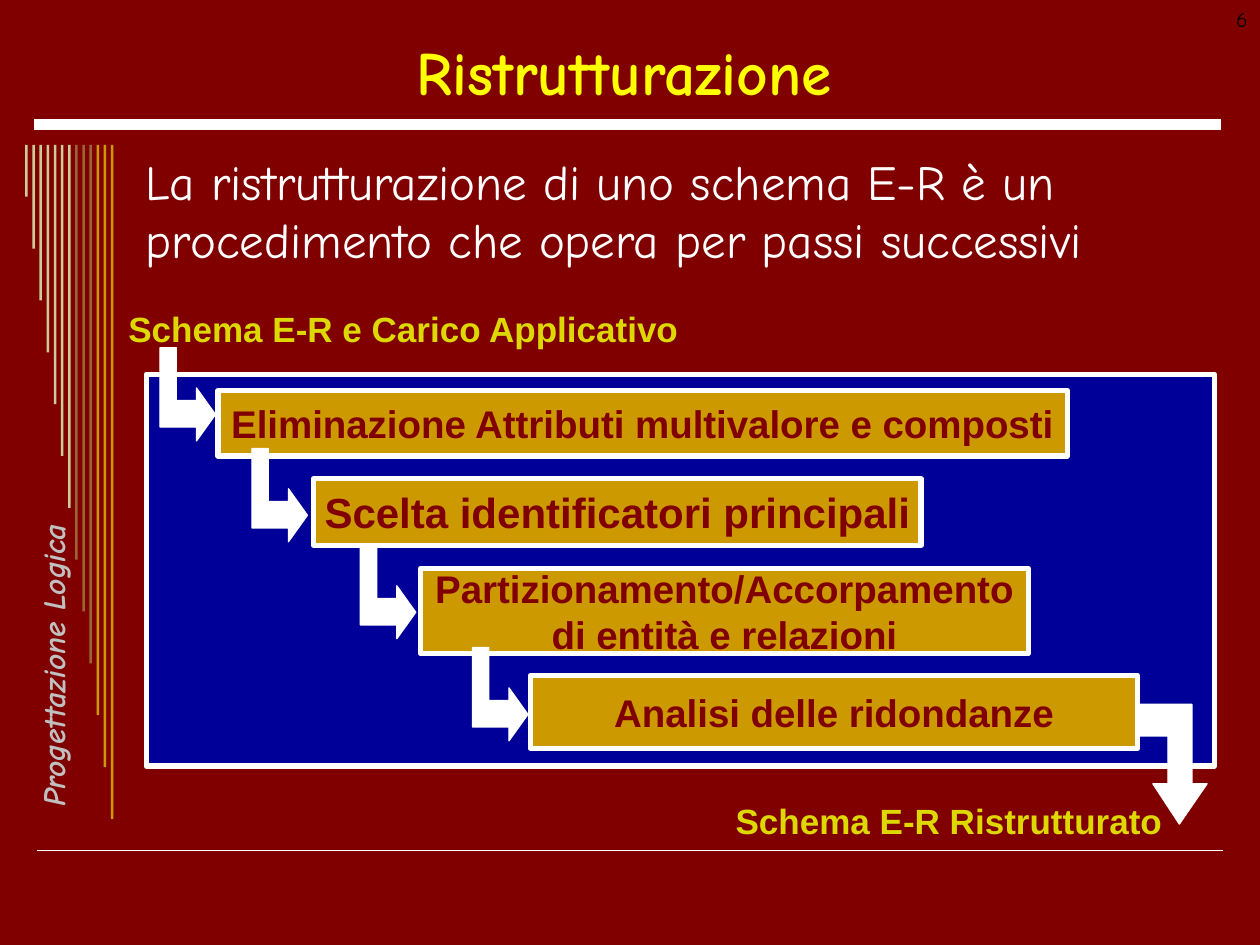
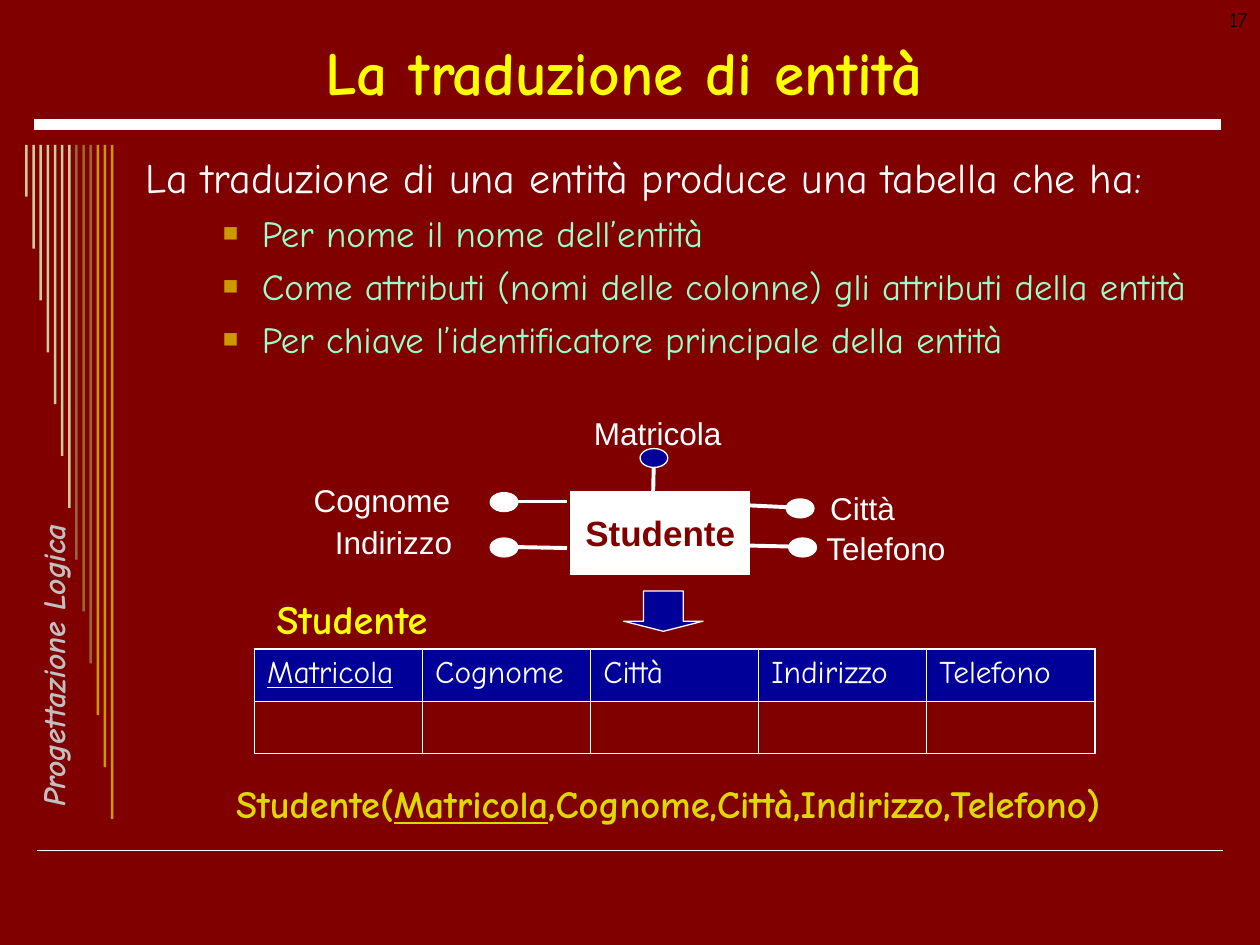
from dataclasses import dataclass

from lxml import etree
from pptx import Presentation
from pptx.dml.color import RGBColor
from pptx.enum.shapes import MSO_CONNECTOR, MSO_SHAPE
from pptx.enum.text import MSO_ANCHOR, MSO_AUTO_SIZE, PP_ALIGN
from pptx.oxml.ns import qn
from pptx.util import Inches, Pt

RECT, OVAL, DOWN = MSO_SHAPE.RECTANGLE, MSO_SHAPE.OVAL, MSO_SHAPE.DOWN_ARROW
STRAIGHT = MSO_CONNECTOR.STRAIGHT
LEFT, MID, RIGHT = PP_ALIGN.LEFT, PP_ALIGN.CENTER, PP_ALIGN.RIGHT
TOP, CENTRE = MSO_ANCHOR.TOP, MSO_ANCHOR.MIDDLE
FIXED = MSO_AUTO_SIZE.NONE
TITLE_ONLY = 5


@dataclass(frozen=True)
class Type:
    size: float
    color: str
    font: str = "Comic Neue"
    bold: bool = False
    italic: bool = False


@dataclass(frozen=True)
class Theme:
    back: str = "800000"
    white: str = "FFFFFF"
    blue: str = "000099"
    gold: str = "CC9900"
    brown: str = "996633"
    sand: str = "CCCC99"
    title: Type = Type(35, "FFFF00", bold=True)
    side: Type = Type(18, "C0C0C0", bold=True, italic=True)
    number: Type = Type(12, "000000")
    lead: Type = Type(28, "FFFFFF")
    intro: Type = Type(24, "FFFFFF")
    item: Type = Type(21, "99FFCC")
    step: Type = Type(22, "800000", "Arial", True)
    key: Type = Type(24, "800000", "Arial", True)
    ends: Type = Type(20, "DDD800", "Arial", True)
    entity: Type = Type(20, "800000", "Arial", True)
    label: Type = Type(18, "FFFFFF", "Arial")
    cell: Type = Type(18, "FFFFFF")
    name: Type = Type(23, "FFFF00", bold=True)
    schema: Type = Type(22, "DDD800", bold=True)


THEME = Theme()
STEPS = [
    ("Eliminazione Attributi multivalore e composti",
     (1.73, 3.1, 6.74, 0.52), THEME.step),
    ("Scelta identificatori principali", (2.49, 3.8, 4.82, 0.53), THEME.key),
    ("Partizionamento/Accorpamento\vdi entità e relazioni",
     (3.34, 4.51, 4.82, 0.68), THEME.step),
    ("Analisi delle ridondanze", (4.21, 5.36, 4.82, 0.58), THEME.step),
]
BENDS = [(1.27, 2.76), (2, 3.56), (2.86, 4.33), (3.75, 5.14)]
BEND = [(0.13, 0), (0.13, 0.42), (0.29, 0.42), (0.29, 0.32), (0.44, 0.53),
        (0.29, 0.74), (0.29, 0.63), (0, 0.63), (0, 0)]
EXIT = [(0, 0.25), (0.44, 0.25), (0.44, 0.63), (0.32, 0.63), (0.53, 0.95),
        (0.75, 0.63), (0.63, 0.63), (0.63, 0), (0, 0)]
ITEMS = [
    "Per nome il nome dell’entità",
    "Come attributi (nomi delle colonne) gli attributi della entità",
    "Per chiave l’identificatore principale della entità",
]
# Name, label corner, label alignment, dot centre, line end, dot colour
FIELDS = [
    ("Matricola", (4.56, 3.24), MID, (5.19, 3.63), (5.18, 4.09), THEME.blue),
    ("Cognome", (2.39, 3.77), LEFT, (4, 3.98), (4.5, 3.98), THEME.white),
    ("Città", (6.49, 3.83), LEFT, (6.35, 4.03), (5.92, 4.01), THEME.white),
    ("Indirizzo", (2.56, 4.1), LEFT, (4, 4.34), (4.5, 4.35), THEME.white),
    ("Telefono", (6.46, 4.15), LEFT, (6.37, 4.34), (5.94, 4.33), THEME.white),
]


def rgb(color):
    return RGBColor.from_string(color)


def inches(values):
    return [Inches(v) for v in values]


def style(par, kind, align=LEFT):
    par.alignment = align
    font = par.font
    font.name, font.size = kind.font, Pt(kind.size)
    font.bold, font.italic = kind.bold, kind.italic
    font.color.rgb = rgb(kind.color)


def write(frame, text, kind, align=LEFT, anchor=TOP, wrap=True):
    frame.word_wrap = wrap
    frame.auto_size = FIXED
    frame.vertical_anchor = anchor
    par = frame.paragraphs[0]
    par.text = text
    style(par, kind, align)
    return par


def add_text(slide, box, text, kind, align=LEFT, wrap=True):
    shape = slide.shapes.add_textbox(*inches(box))
    write(shape.text_frame, text, kind, align, wrap=wrap)
    return shape


def paint(shape, fill, line=None, width=0.75):
    shape.shadow.inherit = False
    shape.fill.solid()
    shape.fill.fore_color.rgb = rgb(fill)
    if line:
        shape.line.color.rgb = rgb(line)
        shape.line.width = Pt(width)
    else:
        shape.line.fill.background()


def add_shape(slide, preset, box, fill, line=None, width=0.75):
    shape = slide.shapes.add_shape(preset, *inches(box))
    paint(shape, fill, line, width)
    return shape


def add_box(slide, box, text, kind, fill, width):
    shape = add_shape(slide, RECT, box, fill, THEME.white, width)
    write(shape.text_frame, text, kind, MID, CENTRE, wrap=False)


def add_line(slide, start, end, width):
    line = slide.shapes.add_connector(STRAIGHT, *inches(start + end))
    line.line.color.rgb = rgb(THEME.white)
    line.line.width = Pt(width)
    etree.SubElement(line._element.spPr, qn("a:effectLst"))


def add_bend(slide, origin, outline):
    """Draw a white bent arrow; the outline is relative to the origin."""
    x, y = origin
    points = [inches((x + dx, y + dy)) for dx, dy in outline]
    pen = slide.shapes.build_freeform(*points[0])
    pen.add_line_segments(points[1:], close=True)
    paint(pen.convert_to_shape(), THEME.white, THEME.white)


def add_bullet(frame, text):
    par = frame.add_paragraph()
    par.text = text
    par.level = 1
    par.space_before = Pt(5.2)
    props = par._p.get_or_add_pPr()
    props.set("marL", str(Inches(0.92)))
    props.set("indent", str(Inches(-0.31)))
    color = etree.SubElement(props, qn("a:buClr"))
    etree.SubElement(color, qn("a:srgbClr"), val=THEME.gold)
    etree.SubElement(props, qn("a:buSzPct"), val="70000")
    etree.SubElement(props, qn("a:buFont"), typeface="Arial")
    etree.SubElement(props, qn("a:buChar"), char="■")
    style(par, THEME.item)


def edge(cell, side, width):
    props = cell._tc.get_or_add_tcPr()
    line = etree.SubElement(props, qn(f"a:ln{side}"), w=str(Pt(width)))
    fill = etree.SubElement(line, qn("a:solidFill"))
    etree.SubElement(fill, qn("a:srgbClr"), val=THEME.white)


def add_table(slide, names):
    """Draw a header row and an empty row, with a thicker outer border."""
    last = len(names) - 1
    box = inches((2.02, 5.15, 6.67, 0.83))
    table = slide.shapes.add_table(2, len(names), *box).table
    table.first_row = table.horz_banding = False
    for row, high in zip(table.rows, (0.42, 0.41)):
        row.height = Inches(high)
    for r in range(2):
        for c, name in enumerate(names):
            cell = table.cell(r, c)
            outer = {"L": c == 0, "R": c == last, "T": r == 0, "B": r == 1}
            for side, thick in outer.items():
                edge(cell, side, 1.08 if thick else 0.45)
            if r:
                cell.fill.background()
                continue
            cell.fill.solid()
            cell.fill.fore_color.rgb = rgb(THEME.blue)
            par = write_cell(cell, name)
            par.font.underline = c == 0


def write_cell(cell, text):
    par = cell.text_frame.paragraphs[0]
    par.text = text
    style(par, THEME.cell)
    return par


def add_stripes(slide):
    colors = [THEME.sand] * 7 + [THEME.brown] * 3 + [THEME.gold] * 3
    for i, color in enumerate(colors):
        box = (0.2 + 0.68 * i / 12, 1.15, 0.02, 5.35 * (i + 1) / 13)
        add_shape(slide, RECT, box, color)


def add_slide(deck, title, number):
    slide = deck.slides.add_slide(deck.slide_layouts[TITLE_ONLY])
    add_line(slide, (0.29, 6.75), (9.71, 6.75), 1)
    add_line(slide, (0.27, 0.99), (9.69, 0.99), 6)
    add_stripes(slide)
    side = add_text(slide, (-1.11, 4.92, 2.91, 0.25), "Progettazione Logica",
                    THEME.side, wrap=False)
    side.rotation = 270
    head = slide.shapes.title
    head.left, head.top, head.width, head.height = inches(
        (0.35, 0.21, 9.21, 0.71))
    write(head.text_frame, title, THEME.title, MID, CENTRE)
    add_text(slide, (7.67, 0, 2.33, 0.5), number, THEME.number, RIGHT)
    return slide


def build_steps(deck):
    slide = add_slide(deck, "Ristrutturazione", "6")
    add_text(slide, (1.06, 1.15, 8.52, 1.1),
             "La ristrutturazione di uno schema E-R è un procedimento "
             "che opera per passi successivi", THEME.lead)
    add_shape(slide, RECT, (1.16, 2.97, 8.48, 3.11), THEME.blue,
              THEME.white, 3)
    add_bend(slide, (8.83, 5.59), EXIT)
    for text, box, kind in STEPS:
        add_box(slide, box, text, kind, THEME.gold, 3)
    for origin in BENDS:
        add_bend(slide, origin, BEND)
    add_text(slide, (0.92, 2.39, 4.82, 0.44),
             "Schema E-R e Carico Applicativo", THEME.ends)
    add_text(slide, (5.74, 6.3, 3.97, 0.44),
             "Schema E-R Ristrutturato", THEME.ends)


def add_field(slide, name, corner, align, dot, end, color):
    x, y = dot
    add_line(slide, dot, end, 2.25)
    add_shape(slide, OVAL, (x - 0.11, y - 0.07, 0.22, 0.15), color,
              THEME.white)
    add_text(slide, corner + (1.32, 0.4), name, THEME.label, align)


def build_entity(deck):
    slide = add_slide(deck, "La traduzione di entità", "17")
    body = add_text(slide, (1.06, 1.15, 8.74, 2.61),
                    "La traduzione di una entità produce una tabella che ha:",
                    THEME.intro)
    for item in ITEMS:
        add_bullet(body.text_frame, item)
    add_box(slide, (4.53, 3.9, 1.42, 0.66), "Studente", THEME.entity,
            THEME.white, 0.75)
    for field in FIELDS:
        add_field(slide, *field)
    arrow = add_shape(slide, DOWN, (4.95, 4.69, 0.63, 0.32), THEME.blue,
                      THEME.white)
    arrow.adjustments[0], arrow.adjustments[1] = 0.5, 0.25
    names = ["Matricola", "Cognome", "Città", "Indirizzo", "Telefono"]
    add_table(slide, names)
    add_text(slide, (1.96, 4.67, 1.67, 0.49), "Studente", THEME.name, MID)
    schema = add_text(slide, (0.95, 6.18, 8.71, 0.45), "Studente(",
                      THEME.schema, MID)
    par = schema.text_frame.paragraphs[0]
    par.line_spacing = 0.9
    key, rest = par.add_run(), par.add_run()
    key.text, rest.text = names[0], "," + ",".join(names[1:]) + ")"
    key.font.underline = True


def main():
    deck = Presentation()
    deck.slide_width, deck.slide_height = inches((10, 7.5))
    fill = deck.slide_master.background.fill
    fill.solid()
    fill.fore_color.rgb = rgb(THEME.back)
    build_steps(deck)
    build_entity(deck)
    deck.save("out.pptx")


if __name__ == "__main__":
    main()
